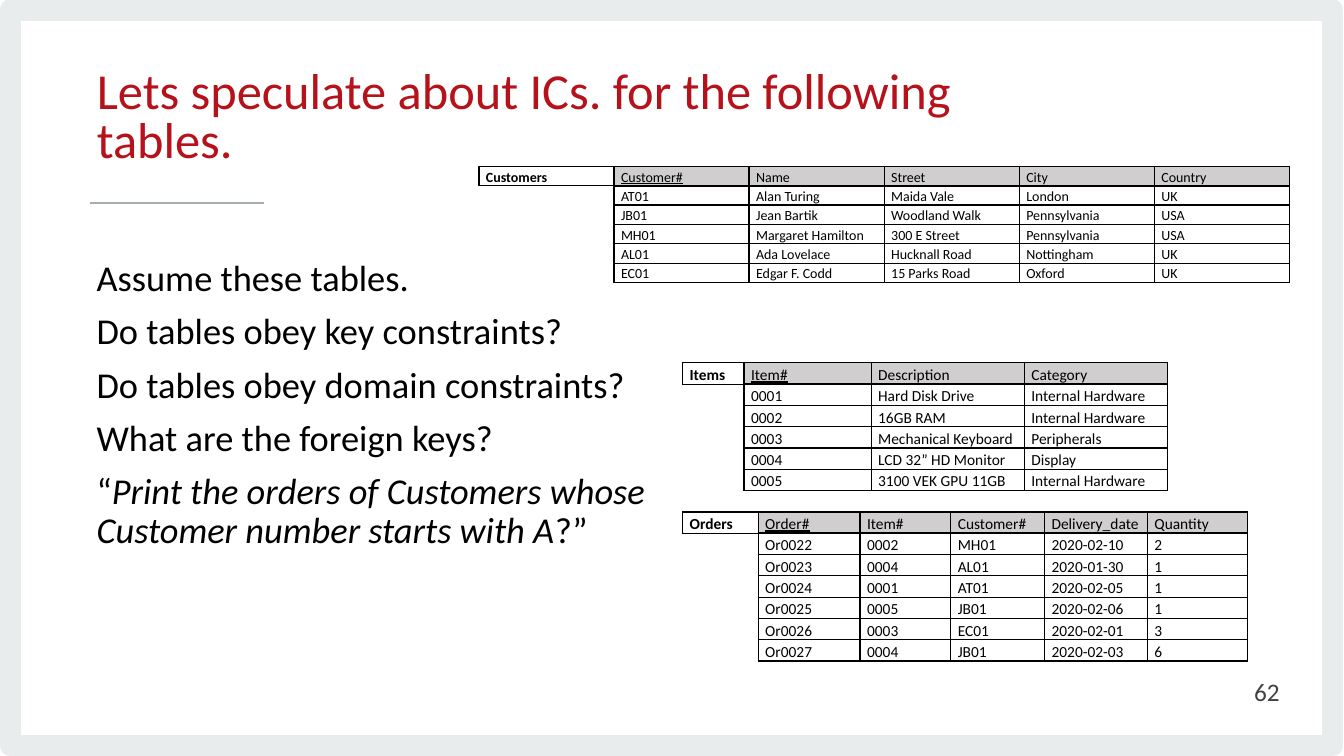
import dataclasses

import lxml.etree
import pptx
import pptx.dml.color
import pptx.enum.shapes
import pptx.enum.text
import pptx.oxml.ns
import pptx.util

Inches, Pt = pptx.util.Inches, pptx.util.Pt
qn = pptx.oxml.ns.qn
PP_ALIGN = pptx.enum.text.PP_ALIGN
ANCHOR = pptx.enum.text.MSO_ANCHOR

FONT = "Calibri"
COLORS = {
    "title": "B5121B",
    "text": "000000",
    "number": "414042",
    "frame": "E9ECED",
    "rule": "A6ADB1",
    "header": "D0CECE",
}
TITLE = "Lets speculate about ICs. for the following tables."
# Each paragraph is a list of (text, italic) runs.
QUESTIONS = [
    [("Assume these tables.", False)],
    [("Do tables obey key constraints?", False)],
    [("Do tables obey domain constraints?", False)],
    [("What are the foreign keys?", False)],
    [
        ("“", False),
        ("Print the orders of Customers whose Customer number starts with A", True),
        ("?”", False),
    ],
]


@dataclasses.dataclass
class Relation:
    name: str
    left: float
    top: float
    widths: list[float]
    row_height: float
    size: int
    anchor: pptx.enum.text.MSO_ANCHOR
    header: list[str]
    records: list[list[str]]


RELATIONS = [
    Relation(
        "Customers", 4.75, 1.65, [1.34] * 6, 0.16, 10, ANCHOR.MIDDLE,
        ["Customer#", "Name", "Street", "City", "Country"],
        [
            ["AT01", "Alan Turing", "Maida Vale", "London", "UK"],
            ["JB01", "Jean Bartik", "Woodland Walk", "Pennsylvania", "USA"],
            ["MH01", "Margaret Hamilton", "300 E Street", "Pennsylvania", "USA"],
            ["AL01", "Ada Lovelace", "Hucknall Road", "Nottingham", "UK"],
            ["EC01", "Edgar F. Codd", "15 Parks Road", "Oxford", "UK"],
        ],
    ),
    Relation(
        "Items", 6.77, 3.6, [0.61, 1.26, 1.52, 1.42], 0.18, 11, ANCHOR.TOP,
        ["Item#", "Description", "Category"],
        [
            ["0001", "Hard Disk Drive", "Internal Hardware"],
            ["0002", "16GB RAM", "Internal Hardware"],
            ["0003", "Mechanical Keyboard", "Peripherals"],
            ["0004", "LCD 32” HD Monitor", "Display"],
            ["0005", "3100 VEK GPU 11GB", "Internal Hardware"],
        ],
    ),
    Relation(
        "Orders", 6.77, 5.08, [0.75, 1.01, 0.9, 0.93, 1.02, 0.99], 0.18, 11, ANCHOR.TOP,
        ["Order#", "Item#", "Customer#", "Delivery_date", "Quantity"],
        [
            ["Or0022", "0002", "MH01", "2020-02-10", "2"],
            ["Or0023", "0004", "AL01", "2020-01-30", "1"],
            ["Or0024", "0001", "AT01", "2020-02-05", "1"],
            ["Or0025", "0005", "JB01", "2020-02-06", "1"],
            ["Or0026", "0003", "EC01", "2020-02-01", "3"],
            ["Or0027", "0004", "JB01", "2020-02-03", "6"],
        ],
    ),
]


def rgb(name: str) -> pptx.dml.color.RGBColor:
    return pptx.dml.color.RGBColor.from_string(COLORS[name])


def add_run(p, text: str, size: float, color: str = "text", bold: bool = False,
            italic: bool = False, underline: bool = False) -> None:
    r = p.add_run()
    r.text = text
    r.font.name, r.font.size = FONT, Pt(size)
    r.font.bold, r.font.italic, r.font.underline = bold, italic, underline
    r.font.color.rgb = rgb(color)


def add_text_box(s, left: float, top: float, width: float, height: float):
    tf = s.shapes.add_textbox(Inches(left), Inches(top), Inches(width), Inches(height)).text_frame
    tf.word_wrap = True
    return tf


def set_borders(cell, widths: dict[str, float]) -> None:
    """Draw the sides L, R, T, B at the given point widths; 0 hides a side."""
    tc_pr = cell._tc.get_or_add_tcPr()
    for side in "LRTB":
        width = widths[side]
        ln = lxml.etree.SubElement(tc_pr, qn(f"a:ln{side}"), w=str(Pt(width)))
        if width:
            fill = lxml.etree.SubElement(ln, qn("a:solidFill"))
            lxml.etree.SubElement(fill, qn("a:srgbClr"), val=COLORS["text"])
        else:
            lxml.etree.SubElement(ln, qn("a:noFill"))


def format_cell(cell, rel: Relation, text: str, row: int, col: int) -> None:
    header = row == 0 and col > 0
    blank = row > 0 and col == 0
    set_borders(cell, {
        "L": 0 if blank else 1,
        "R": 1,
        "T": (1 if row == 1 else 0) if blank else (1.5 if row == 1 else 1),
        "B": 0 if blank else (1.5 if header else 1),
    })
    if header:
        cell.fill.solid()
        cell.fill.fore_color.rgb = rgb("header")
    else:
        cell.fill.background()
    cell.margin_left = cell.margin_right = Inches(0.07)
    cell.margin_top = cell.margin_bottom = 0
    cell.vertical_anchor = rel.anchor
    p = cell.text_frame.paragraphs[0]
    if blank:
        lxml.etree.SubElement(p._p, qn("a:endParaRPr"), sz=str(rel.size * 100))
        return
    p.line_spacing, p.space_after = 1.15, Pt(10)
    add_run(p, text, rel.size, bold=row == col == 0, underline=row == 0 and col == 1)


def add_relation(s, rel: Relation) -> None:
    rows = [[rel.name] + rel.header] + [[""] + record for record in rel.records]
    table = s.shapes.add_table(
        len(rows), len(rel.widths), Inches(rel.left), Inches(rel.top),
        Inches(sum(rel.widths)), Inches(rel.row_height * len(rows)),
    ).table
    table.first_row = table.horz_banding = False
    for column, width in zip(table.columns, rel.widths):
        column.width = Inches(width)
    for i, values in enumerate(rows):
        table.rows[i].height = Inches(rel.row_height)
        for j, text in enumerate(values):
            format_cell(table.cell(i, j), rel, text, i, j)


def add_decoration(s) -> None:
    frame = s.shapes.add_shape(pptx.enum.shapes.MSO_SHAPE.RECTANGLE,
                               Inches(0.1), Inches(0.1), Inches(13.12), Inches(7.3))
    frame.shadow.inherit = False
    frame.fill.background()
    frame.line.color.rgb, frame.line.width = rgb("frame"), Pt(15.11)
    rule = s.shapes.add_connector(pptx.enum.shapes.MSO_CONNECTOR.STRAIGHT,
                                  Inches(0.89), Inches(2.01), Inches(2.62), Inches(2.01))
    rule.line.color.rgb, rule.line.width = rgb("rule"), Pt(1.33)
    lxml.etree.SubElement(rule._element.spPr, qn("a:effectLst"))


def add_title(s) -> None:
    sp = s.shapes.title
    sp.left, sp.top, sp.width, sp.height = Inches(0.86), Inches(0.52), Inches(9.02), Inches(1.34)
    tf = sp.text_frame
    tf.auto_size = pptx.enum.text.MSO_AUTO_SIZE.NONE
    tf.vertical_anchor = ANCHOR.MIDDLE
    p = tf.paragraphs[0]
    p.alignment = PP_ALIGN.LEFT
    p.line_spacing, p.space_before = Pt(34.7), Pt(7.5)
    add_run(p, TITLE, 36, "title")


def add_questions(s) -> None:
    tf = add_text_box(s, 0.86, 2.53, 5.77, 4.22)
    for i, runs in enumerate(QUESTIONS):
        p = tf.add_paragraph() if i else tf.paragraphs[0]
        p.line_spacing, p.space_before = 0.9, Pt(10)
        for text, italic in runs:
            add_run(p, text, 26, italic=italic)


def add_slide_number(s) -> None:
    tf = add_text_box(s, 9.79, 6.66, 3, 0.4)
    tf.vertical_anchor = ANCHOR.MIDDLE
    p = tf.paragraphs[0]
    p.alignment = PP_ALIGN.RIGHT
    add_run(p, "62", 18, "number")


def main() -> None:
    prs = pptx.Presentation()
    prs.slide_width, prs.slide_height = Inches(13.33), Inches(7.5)
    s = prs.slides.add_slide(prs.slide_layouts[5])
    add_decoration(s)
    add_title(s)
    add_questions(s)
    add_slide_number(s)
    for rel in RELATIONS:
        add_relation(s, rel)
    prs.save("out.pptx")


if __name__ == "__main__":
    main()
